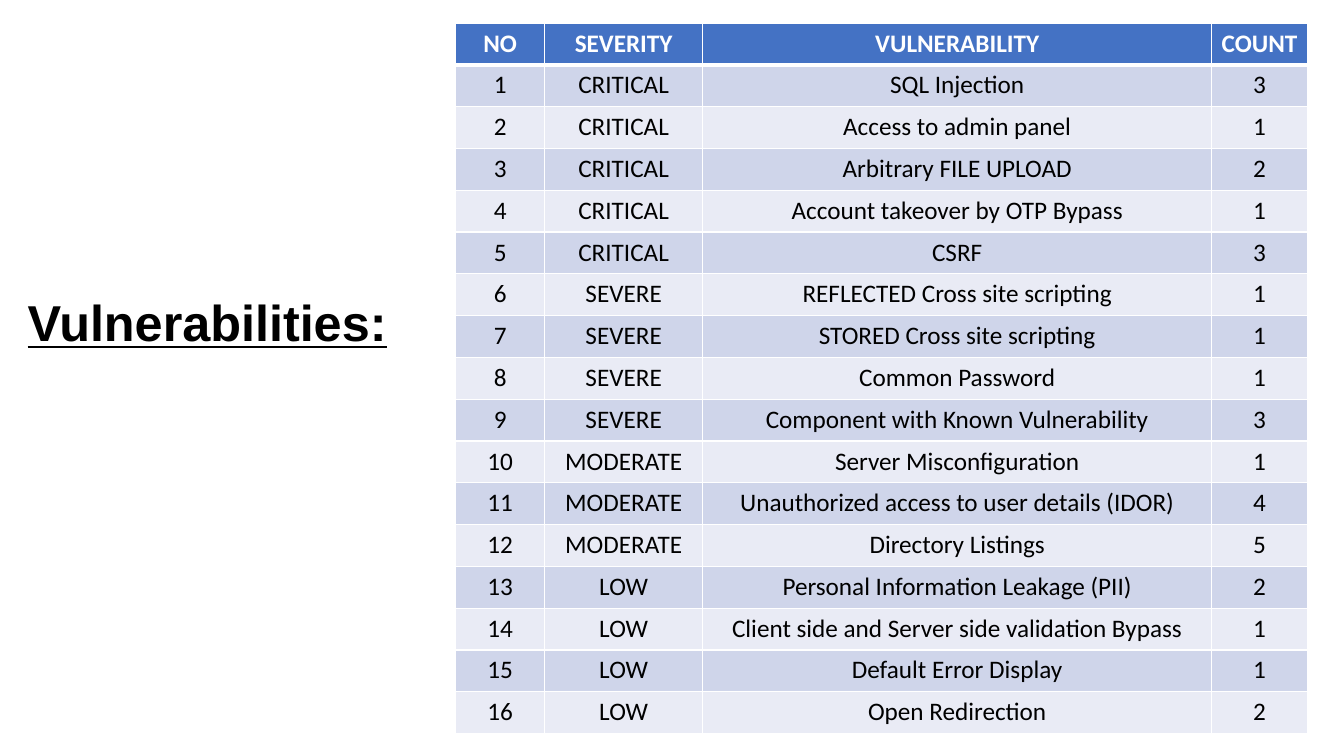
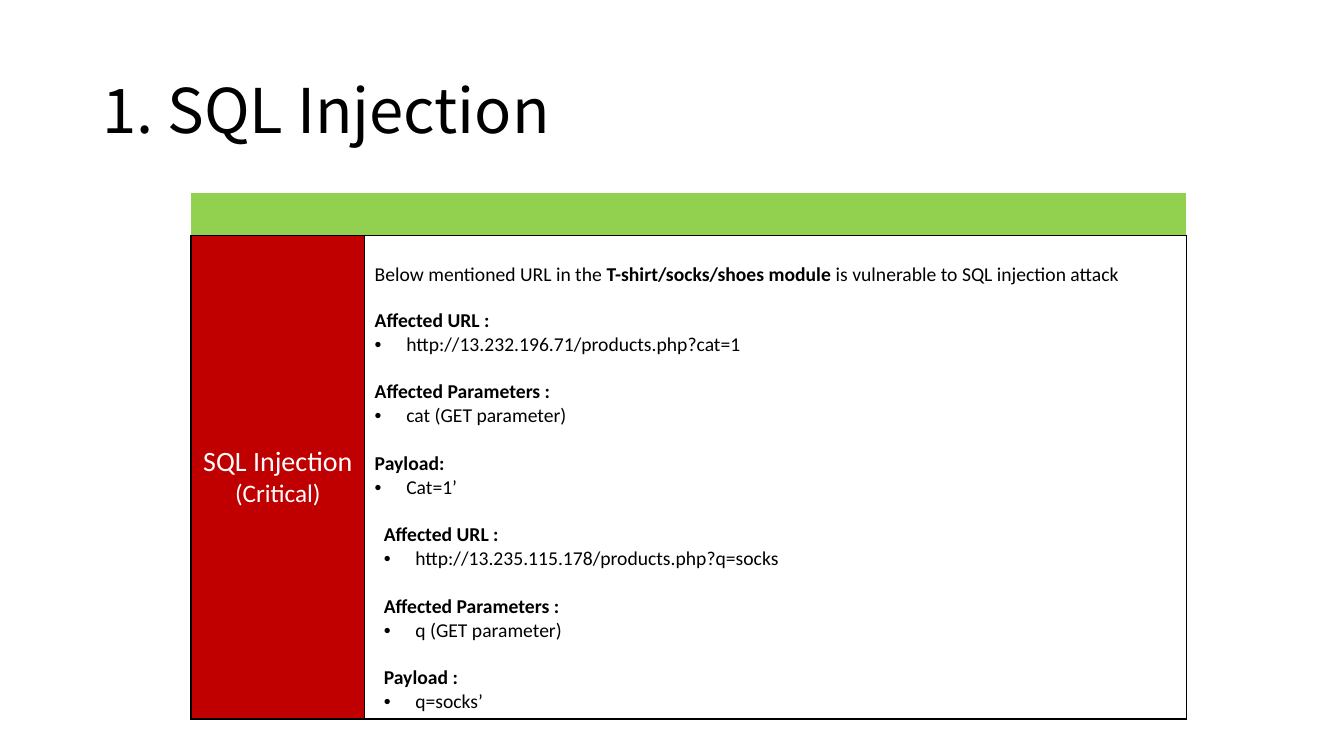
from dataclasses import dataclass
from typing import Optional

from lxml.etree import SubElement
from pptx import Presentation
from pptx.dml.color import RGBColor
from pptx.enum.text import MSO_ANCHOR as Anchor, MSO_AUTO_SIZE as AutoSize, PP_ALIGN as Align
from pptx.oxml import parse_xml
from pptx.oxml.ns import nsdecls, qn
from pptx.util import Pt

# Shared look
BLACK = RGBColor(0x00, 0x00, 0x00)
WHITE = RGBColor(0xFF, 0xFF, 0xFF)
HEADER_BLUE = RGBColor(0x44, 0x72, 0xC4)
BAND_DARK = RGBColor(0xCF, 0xD5, 0xEA)
BAND_LIGHT = RGBColor(0xE9, 0xEB, 0xF5)
HEADER_GREEN = RGBColor(0x92, 0xD0, 0x50)
CRITICAL_RED = RGBColor(0xC0, 0x00, 0x00)
BODY_FONT = "Calibri"
TITLE_ONLY = 5
BULLET_INDENT = 22.5


@dataclass(frozen=True)
class Frame:
    left: float
    top: float
    width: float
    height: float


@dataclass(frozen=True)
class Border:
    color: RGBColor
    width: float = 1


@dataclass(frozen=True)
class Finding:
    severity: str
    name: str
    count: int


@dataclass(frozen=True)
class Detail:
    heading: str
    value: str
    indent: float = 0
    gap: float = 17


FINDINGS = [
    Finding("CRITICAL", "SQL Injection", 3),
    Finding("CRITICAL", "Access to admin panel", 1),
    Finding("CRITICAL", "Arbitrary FILE UPLOAD", 2),
    Finding("CRITICAL", "Account takeover by OTP Bypass", 1),
    Finding("CRITICAL", "CSRF", 3),
    Finding("SEVERE", "REFLECTED Cross site scripting", 1),
    Finding("SEVERE", "STORED Cross site scripting", 1),
    Finding("SEVERE", "Common Password", 1),
    Finding("SEVERE", "Component with Known Vulnerability", 3),
    Finding("MODERATE", "Server Misconfiguration", 1),
    Finding("MODERATE", "Unauthorized access to user details (IDOR)", 4),
    Finding("MODERATE", "Directory Listings", 5),
    Finding("LOW", "Personal Information Leakage (PII)", 2),
    Finding("LOW", "Client side and Server side validation Bypass", 1),
    Finding("LOW", "Default Error Display", 1),
    Finding("LOW", "Open Redirection", 2),
]

DETAILS = [
    Detail("Affected URL :", "http://13.232.196.71/products.php?cat=1", gap=16),
    Detail("Affected Parameters :", "cat (GET parameter)"),
    Detail("Payload:", "Cat=1’"),
    Detail("Affected URL :", "http://13.235.115.178/products.php?q=socks", indent=6.5),
    Detail("Affected Parameters :", "q (GET parameter)", indent=6.5),
    Detail("Payload :", "q=socks’", indent=6.5),
]


def style_font(para, size: float, color: RGBColor, bold: bool = False, name: str = BODY_FONT) -> None:
    font = para.font
    font.name, font.size, font.bold = name, Pt(size), bold
    font.color.rgb = color


def add_titled_slide(deck, text: str, frame: Frame, size: float, font_name: str, bold: bool = False):
    slide = deck.slides.add_slide(deck.slide_layouts[TITLE_ONLY])
    title = slide.shapes.title
    title.left, title.top = Pt(frame.left), Pt(frame.top)
    title.width, title.height = Pt(frame.width), Pt(frame.height)
    title.text_frame.text = text
    title.text_frame.auto_size = AutoSize.NONE
    title.text_frame.vertical_anchor = Anchor.MIDDLE
    para = title.text_frame.paragraphs[0]
    para.alignment, para.line_spacing = Align.LEFT, 0.9
    style_font(para, size, BLACK, bold, font_name)
    return slide


def add_grid(slide, left: float, top: float, widths: list[float], heights: list[float]):
    table = slide.shapes.add_table(
        len(heights), len(widths), Pt(left), Pt(top), Pt(sum(widths)), Pt(sum(heights))
    ).table
    table.horz_banding = False
    for column, width in zip(table.columns, widths):
        column.width = Pt(width)
    for row, height in zip(table.rows, heights):
        row.height = Pt(height)
    return table


def paint_cell(cell, fill: RGBColor, side: Optional[Border],
               top: Optional[Border], bottom: Optional[Border]) -> None:
    """Fill a cell and set its four borders; None hides a border."""
    cell.fill.solid()
    cell.fill.fore_color.rgb = fill
    properties = cell._tc.get_or_add_tcPr()
    borders = {"lnL": side, "lnR": side, "lnT": top, "lnB": bottom}
    for index, (tag, border) in enumerate(borders.items()):
        width = Pt(border.width) if border else 0
        paint = (f'<a:solidFill><a:srgbClr val="{border.color}"/></a:solidFill>'
                 if border else "<a:noFill/>")
        line = parse_xml(f'<a:{tag} {nsdecls("a")} w="{width}">{paint}</a:{tag}>')
        properties.insert(index, line)


def set_indent(para, left: float, first_line: float = 0) -> None:
    properties = para._p.get_or_add_pPr()
    properties.set("marL", str(Pt(left)))
    properties.set("indent", str(Pt(first_line)))


def add_bullet(para) -> None:
    properties = para._p.get_or_add_pPr()
    SubElement(properties, qn("a:buFont")).set("typeface", "Arial")
    SubElement(properties, qn("a:buChar")).set("char", "•")


def build_summary(deck) -> None:
    slide = add_titled_slide(deck, "Vulnerabilities:", Frame(12.5, 148.5, 289.5, 167.5), 36, "Arial", True)
    slide.shapes.title.text_frame.paragraphs[0].font.underline = True

    rows = [("NO", "SEVERITY", "VULNERABILITY", "COUNT")]
    rows += [(str(number), item.severity, item.name, str(item.count))
             for number, item in enumerate(FINDINGS, 1)]
    table = add_grid(slide, 325.5, 16.5, [63.5, 113, 363.5, 68.5], [29.85] * len(rows))
    thin, thick = Border(WHITE), Border(WHITE, 3)
    for row_index, values in enumerate(rows):
        is_header = row_index == 0
        fill = HEADER_BLUE if is_header else (BAND_LIGHT, BAND_DARK)[row_index % 2]
        for column_index, value in enumerate(values):
            cell = table.cell(row_index, column_index)
            paint_cell(cell, fill, thin, thick if row_index == 1 else thin, thick if is_header else thin)
            cell.text = value
            para = cell.text_frame.paragraphs[0]
            para.alignment = Align.CENTER
            style_font(para, 18, WHITE if is_header else BLACK, is_header)


def write_details(cell) -> None:
    text_frame = cell.text_frame
    intro = text_frame.paragraphs[0]
    style_font(intro, 14, BLACK)
    for text, bold in (("Below mentioned URL in the ", False),
                       ("T-shirt/socks/shoes module ", True),
                       ("is vulnerable to SQL injection attack", False)):
        span = intro.add_run()
        span.text, span.font.bold = text, bold

    for detail in DETAILS:
        heading = text_frame.add_paragraph()
        heading.text = detail.heading
        heading.space_before = Pt(detail.gap)
        set_indent(heading, detail.indent)
        style_font(heading, 14, BLACK, True)

        value = text_frame.add_paragraph()
        value.text = detail.value
        set_indent(value, detail.indent + BULLET_INDENT, -BULLET_INDENT)
        add_bullet(value)
        style_font(value, 14, BLACK)


def build_injection(deck) -> None:
    slide = add_titled_slide(deck, "1. SQL Injection", Frame(66, 28.75, 828, 104.5), 44, "Noto Sans CJK JP")
    table = add_grid(slide, 136.5, 138, [124, 587], [30, 345])
    outline = Border(BLACK)
    for column_index, fill in enumerate((CRITICAL_RED, WHITE)):
        paint_cell(table.cell(0, column_index), HEADER_GREEN, None, None, outline)
        paint_cell(table.cell(1, column_index), fill, outline, outline, outline)

    # Severity label
    label = table.cell(1, 0)
    label.vertical_anchor = Anchor.MIDDLE
    label.text = "SQL Injection\n(Critical)"
    for para, size in zip(label.text_frame.paragraphs, (20, 18)):
        para.alignment = Align.CENTER
        style_font(para, size, WHITE)

    # Affected addresses, parameters and payloads
    details = table.cell(1, 1)
    details.margin_top = Pt(19.5)
    write_details(details)


def main() -> None:
    deck = Presentation()
    deck.slide_width, deck.slide_height = Pt(960), Pt(540)
    build_summary(deck)
    build_injection(deck)
    deck.save("out.pptx")


if __name__ == "__main__":
    main()
